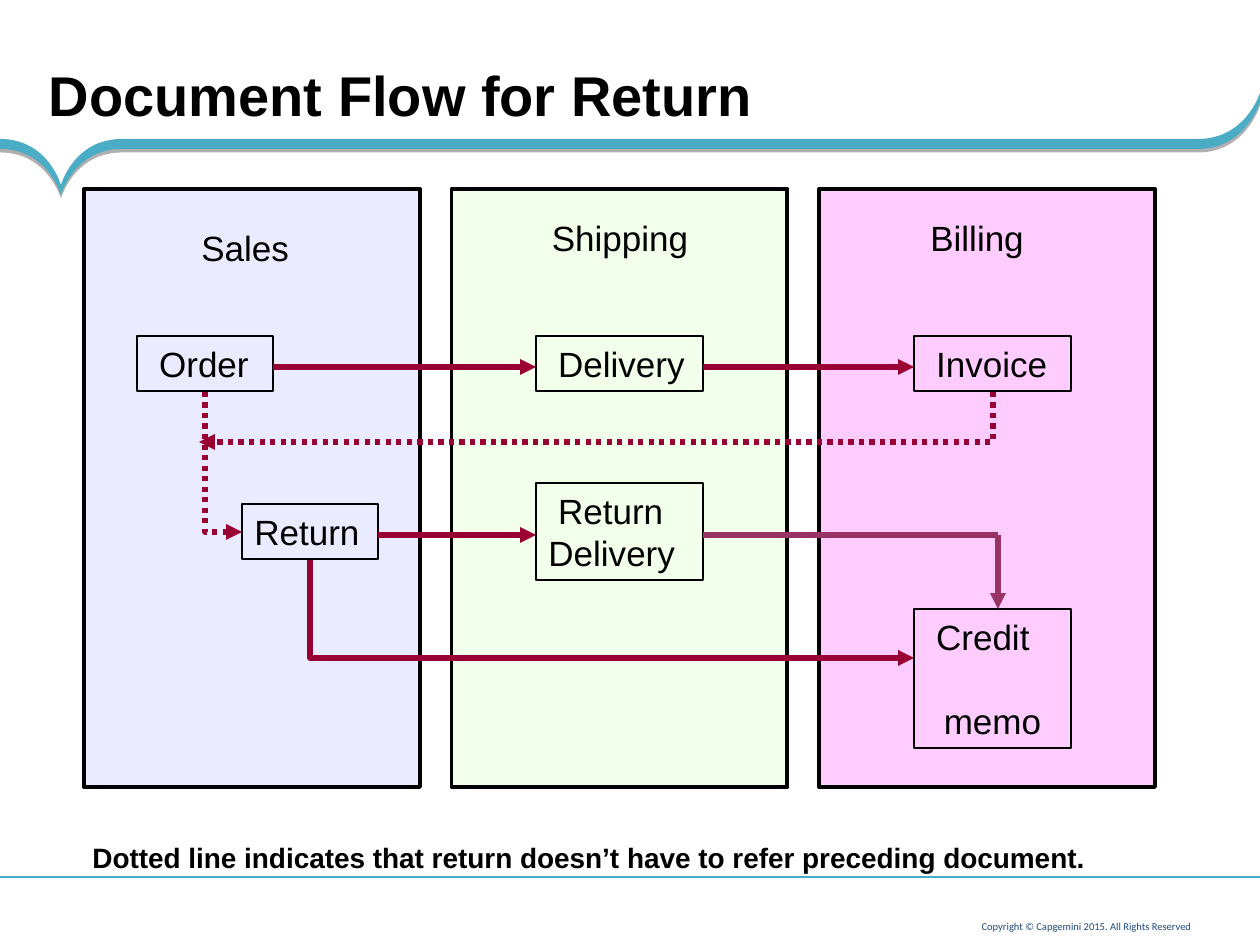
from lxml import etree
from pptx import Presentation, util as u
from pptx.dml.color import RGBColor
from pptx.enum import dml, shapes, text
from pptx.oxml import ns

SCALE = 914400 / 126
BLACK, RED, PLUM, TEAL = "000000", "990033", "993366", "4BACC6"


def px(n):
    return u.Emu(round(n * SCALE))


def color(code):
    return RGBColor.from_string(code)


def child(node, tag, **vals):
    return etree.SubElement(node, ns.qn(tag), vals)


def write(shape, lines, size=20, bold=False, tint=BLACK, face="Arial", align="LEFT", frame=None, para=None):
    body = shape.text_frame
    for key, val in {"word_wrap": True, "vertical_anchor": text.MSO_ANCHOR.TOP, **(frame or {})}.items():
        setattr(body, key, val)
    for i, line in enumerate(lines):
        par = body.add_paragraph() if i else body.paragraphs[0]
        par.text = line
        form = {"alignment": getattr(text.PP_ALIGN, align), **(para or {})}
        for key, val in form.items():
            setattr(par, key, val)
        for key, val in {"name": face, "size": u.Pt(size), "bold": bold}.items():
            setattr(par.font, key, val)
        par.font.color.rgb = color(tint)


def label(slide, spot, words, **form):
    box = slide.shapes.add_textbox(*map(px, spot))
    write(box, [words], **form)


def rect(slide, spot, width, fill=None):
    box = slide.shapes.add_shape(shapes.MSO_SHAPE.RECTANGLE, *map(px, spot))
    box.shadow.inherit = False
    if fill:
        box.fill.solid()
        box.fill.fore_color.rgb = color(fill)
    else:
        box.fill.background()
    box.line.color.rgb = color(BLACK)
    box.line.width = u.Pt(width)
    return box


def node(slide, spot, *lines):
    box = rect(slide, spot, 1)
    write(box, lines)
    return box


def link(slide, ends, tint=RED, width=3, head=True, kind="STRAIGHT", dash=None):
    wire = slide.shapes.add_connector(getattr(shapes.MSO_CONNECTOR, kind), *map(px, ends))
    wire.line.color.rgb = color(tint)
    wire.line.width = u.Pt(width)
    if dash:
        wire.line.dash_style = dash
    props = wire._element.spPr
    if head:
        child(props.find(ns.qn("a:ln")), "a:tailEnd", type="triangle")
    child(props, "a:effectLst")
    return wire


def bend(slide, ends, dash=None):
    x1, y1, x2, y2 = ends
    wide, high = abs(y2 - y1), abs(x2 - x1)
    left, top = (x1 + x2 - wide) / 2, (y1 + y2 - high) / 2
    wire = link(slide, (left, top, left + wide, top + high), kind="ELBOW", dash=dash)
    props = wire._element.spPr
    props.find(ns.qn("a:prstGeom")).set("prst", "bentConnector2")
    turn = {"rot": "16200000", "flipH": "1"} if x2 > x1 else {"rot": "5400000"}
    for key, val in turn.items():
        props.find(ns.qn("a:xfrm")).set(key, val)


def wave(slide):
    form = slide.shapes.build_freeform(0, 93, scale=SCALE)
    form.add_line_segments([(1260, 93), (1260, 195), (0, 195)])
    band = form.convert_to_shape()
    band.fill.solid()
    band.fill.fore_color.rgb = color(TEAL)
    band.line.fill.background()
    band.shadow.inherit = False
    props = band._element.spPr
    track = next(props.iter(ns.qn("a:path")))
    for part in list(track):
        track.remove(part)
    steps = [
        ("moveTo", (1198, 46)), ("lnTo", (122, 46)),
        ("cubicBezTo", (74, 46), (61, 92), (61, 92)),
        ("cubicBezTo", (61, 92), (48, 46), (0, 46)),
        ("lnTo", (0, 56)),
        ("cubicBezTo", (48, 56), (61, 102), (61, 102)),
        ("cubicBezTo", (61, 102), (74, 56), (122, 56)),
        ("lnTo", (1198, 56)),
        ("cubicBezTo", (1246, 56), (1260, 9), (1260, 9)),
        ("lnTo", (1260, 0)),
        ("cubicBezTo", (1260, 0), (1246, 46), (1198, 46)),
        ("close",),
    ]
    for tag, *dots in steps:
        step = child(track, f"a:{tag}")
        for x, y in dots:
            child(step, "a:pt", x=str(x), y=str(y))
    for key, val in {"w": "1260", "h": "102"}.items():
        track.set(key, val)
    glow = props.find(ns.qn("a:effectLst"))
    cast = child(glow, "a:outerShdw", dist="25400", dir="5400000", algn="ctr", rotWithShape="0")
    child(child(cast, "a:srgbClr", val=BLACK), "a:alpha", val="31000")


def main():
    deck = Presentation()
    deck.slide_width, deck.slide_height = px(1260), px(945)
    slide = deck.slides.add_slide(deck.slide_layouts[6])
    dots = dml.MSO_LINE.ROUND_DOT

    wave(slide)
    pad = {f"margin_{side}": px(5) for side in ("left", "right", "top", "bottom")}
    label(slide, (857, 913, 339, 25), "Copyright © Capgemini 2015. All Rights Reserved",
          size=6, tint="1F497D", face="Calibri", align="RIGHT",
          frame={**pad, "vertical_anchor": text.MSO_ANCHOR.BOTTOM}, para={"line_spacing": 0.9})
    link(slide, (1260, 877, 0, 877), TEAL, 0.75, head=False)
    label(slide, (49, 60, 907, 92), "Document Flow for Return", size=32, bold=True,
          frame=dict.fromkeys(pad, 0))

    for i, fill in enumerate(("EBEBFF", "F2FFEB", "FFCCFF")):
        rect(slide, (84 + 367.5 * i, 189, 336, 598), 2.25, fill)
    label(slide, (189, 220, 126, 55), "Sales")
    for x, name in ((536, "Shipping "), (893, "Billing ")):
        label(slide, (x, 210, 178, 55), name, align="CENTER")

    node(slide, (137, 336, 136, 55), " Order")
    node(slide, (914, 336, 157, 55), " Invoice")
    node(slide, (536, 336, 167, 55), " Delivery")
    for ends in ((273, 367, 536, 367), (703, 367, 914, 367)):
        link(slide, ends)
    node(slide, (536, 483, 167, 97), " Return Delivery")
    memo = node(slide, (914, 609, 157, 139), " Credit", "memo")
    last = memo.text_frame.paragraphs[1]
    for key, val in {"alignment": text.PP_ALIGN.CENTER, "space_before": u.Pt(24)}.items():
        setattr(last, key, val)
    node(slide, (242, 504, 136, 55), "Return")
    link(slide, (378, 535, 536, 535))
    bend(slide, (310, 560, 914, 658))
    bend(slide, (205, 392, 242, 532), dots)
    bend(slide, (993, 392, 199, 442), dots)

    label(slide, (80, 834, 1026, 47), size=16, bold=True, frame={"word_wrap": False},
          words="Dotted line indicates that return doesn’t have to refer preceding document.")
    link(slide, (703, 535, 998, 535), PLUM, head=False)
    link(slide, (998, 535, 998, 609), PLUM)
    deck.save("out.pptx")


if __name__ == "__main__":
    main()
